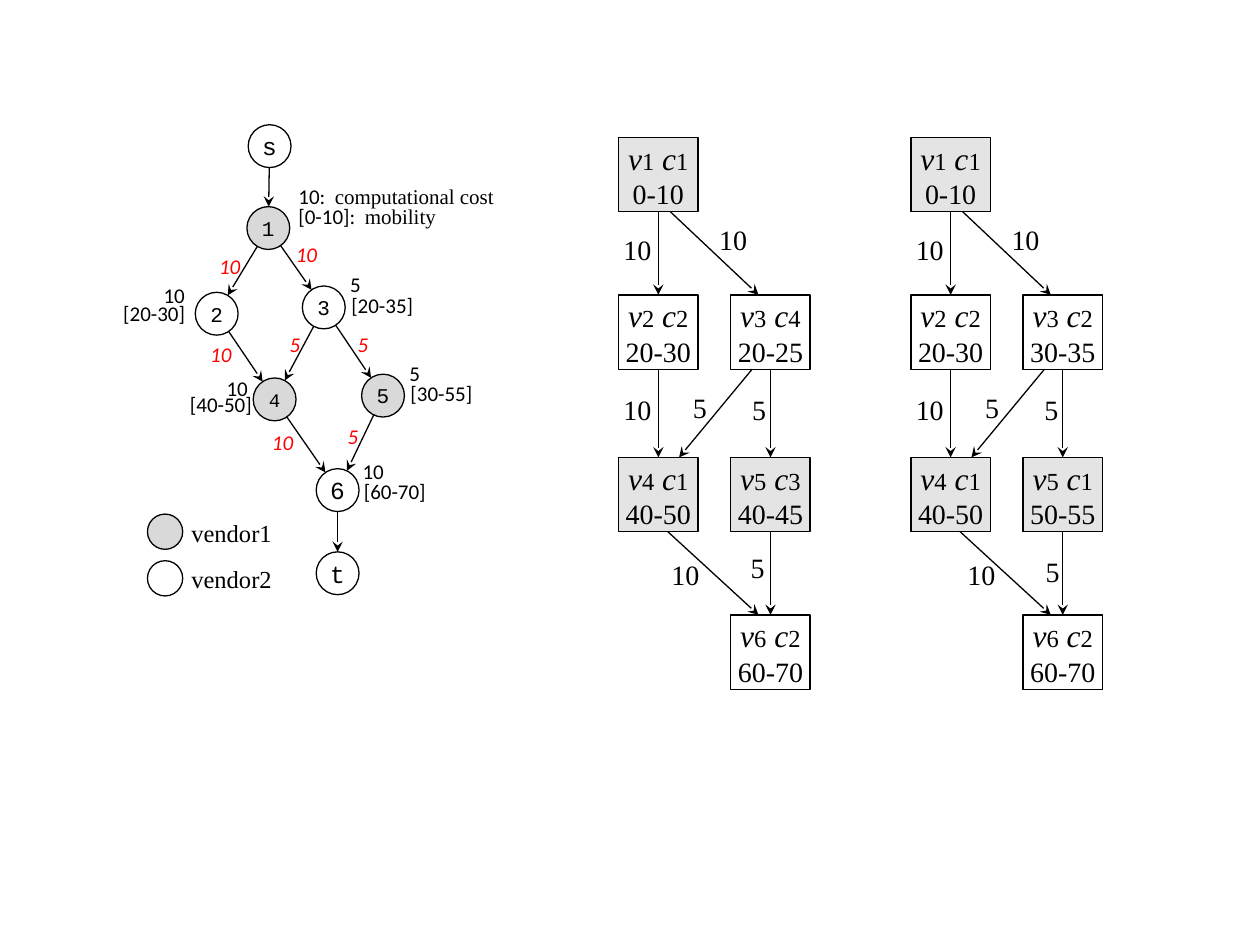
from math import hypot

from lxml.etree import SubElement
from pptx import Presentation
from pptx.dml.color import RGBColor
from pptx.enum.shapes import MSO_CONNECTOR, MSO_SHAPE
from pptx.enum.text import MSO_ANCHOR, MSO_AUTO_SIZE, PP_ALIGN
from pptx.oxml.ns import qn
from pptx.util import Inches, Pt

COLORS = {"black": "000000", "red": "FF0000", "gray": "D9D9D9"}
SANS, MONO, SERIF = "Calibri", "Courier New", "Times New Roman"
CIRCLE = 0.34
KEY_CIRCLE = 0.28
BOX_WIDTH, BOX_HEIGHT = 0.63, 0.59
COLUMNS = (0, 0.89)
ROWS = (0, 1.25, 2.54, 3.79)


def color(name):
    return RGBColor.from_string(COLORS[name])


def add_run(paragraph, text, size, font=SERIF, italic=False, color_name="black"):
    run = paragraph.add_run()
    run.text = text
    run.font.size = Pt(size)
    run.font.name = font
    run.font.italic = italic
    run.font.color.rgb = color(color_name)


def add_outlined(slide, kind, left, top, width, height, shaded=False, opacity=100):
    shape = slide.shapes.add_shape(
        kind, Inches(left), Inches(top), Inches(width), Inches(height))
    shape.shadow.inherit = False
    shape.line.color.rgb = color("black")
    shape.line.width = Pt(0.75)
    if shaded:
        shape.fill.solid()
        shape.fill.fore_color.rgb = color("gray")
        if opacity < 100:
            fill_color = shape.fill._xPr.find(qn("a:solidFill"))[0]
            SubElement(fill_color, qn("a:alpha"), val=str(opacity * 1000))
    else:
        shape.fill.background()
    frame = shape.text_frame
    frame.word_wrap = False
    frame.vertical_anchor = MSO_ANCHOR.MIDDLE
    frame.paragraphs[0].alignment = PP_ALIGN.CENTER
    return shape


def add_label(slide, left, top, width, height, *runs):
    """Each run is a tuple of the arguments for add_run."""
    text_box = slide.shapes.add_textbox(
        Inches(left), Inches(top), Inches(width), Inches(height))
    frame = text_box.text_frame
    frame.word_wrap = False
    frame.auto_size = MSO_AUTO_SIZE.SHAPE_TO_FIT_TEXT
    for run in runs:
        add_run(frame.paragraphs[0], *run)


def add_arrow(slide, start_x, start_y, end_x, end_y):
    connector = slide.shapes.add_connector(
        MSO_CONNECTOR.STRAIGHT,
        Inches(start_x), Inches(start_y), Inches(end_x), Inches(end_y))
    connector.line.color.rgb = color("black")
    connector.line.width = Pt(0.75)
    SubElement(connector.line._get_or_add_ln(), qn("a:tailEnd"), type="stealth")
    SubElement(connector._element.spPr, qn("a:effectLst"))


def add_task_graph(slide, left, top):
    # Task circles: position, text size, shaded
    tasks = {
        "s": (1.09, 0, 14, False), "1": (1.08, 0.65, 12, True),
        "2": (0.67, 1.33, 12, False), "3": (1.52, 1.28, 12, False),
        "4": (1.13, 2.01, 11, True), "5": (1.99, 1.98, 12, True),
        "6": (1.63, 2.73, 14, False), "t": (1.63, 3.39, 14, False),
    }
    for name, (x, y, size, shaded) in tasks.items():
        circle = add_outlined(slide, MSO_SHAPE.OVAL, left + x, top + y,
                              CIRCLE, CIRCLE, shaded)
        add_run(circle.text_frame.paragraphs[0], name, size, MONO)

    # Arrows run from rim to rim along the line between two centres
    radius = CIRCLE / 2
    for source, target in ("s1", "12", "13", "24", "34", "35", "46", "56", "6t"):
        x1, y1 = (value + radius for value in tasks[source][:2])
        x2, y2 = (value + radius for value in tasks[target][:2])
        distance = hypot(x2 - x1, y2 - y1)
        trim_x = radius * (x2 - x1) / distance
        trim_y = radius * (y2 - y1) / distance
        add_arrow(slide, left + x1 + trim_x, top + y1 + trim_y,
                  left + x2 - trim_x, top + y2 - trim_y)

    # Communication costs in red
    edge_costs = [
        ("10", 0.76, 0.97), ("10", 1.37, 0.88), ("10", 0.69, 1.67),
        ("10", 1.18, 2.37), ("5", 1.32, 1.59), ("5", 1.86, 1.59),
        ("5", 1.78, 2.32),
    ]
    for text, x, y in edge_costs:
        add_label(slide, left + x, top + y, 0.37 if text == "10" else 0.29, 0.3,
                  (text, 12, SANS, True, "red"))

    # Computational costs and mobility ranges
    task_notes = [
        ("10", 0.32, 1.2, 0.37), ("[20-30]", 0, 1.35, 0.7),
        ("5", 1.8, 1.12, 0.29), ("[20-35]", 1.81, 1.28, 0.7),
        ("10", 0.82, 1.94, 0.37), ("[40-50]", 0.53, 2.07, 0.7),
        ("5", 2.27, 1.82, 0.29), ("[30-55]", 2.28, 1.98, 0.7),
        ("10", 1.9, 2.6, 0.37), ("[60-70]", 1.91, 2.76, 0.7),
    ]
    for text, x, y, width in task_notes:
        add_label(slide, left + x, top + y, width, 0.3, (text, 12, SANS))
    add_label(slide, left + 1.39, top + 0.42, 1.77, 0.3,
              ("10:  ", 12, SANS), ("computational cost", 12))
    add_label(slide, left + 1.39, top + 0.58, 1.31, 0.3,
              ("[0-10]:  ", 12, SANS), ("mobility", 12))


def add_vendor_key(slide, left, top):
    for index, (name, shaded) in enumerate((("vendor1", True), ("vendor2", False))):
        y = top + 0.37 * index
        add_outlined(slide, MSO_SHAPE.OVAL, left, y, KEY_CIRCLE, KEY_CIRCLE, shaded)
        add_label(slide, left + 0.25, y - 0.02, 0.85, 0.34, (name, 14))


def add_schedule(slide, left, top, assignments, bottom_labels):
    # Task boxes: column and row of v1 to v6, shaded
    cells = [(0, 0, True), (0, 1, False), (1, 1, False),
             (0, 2, True), (1, 2, True), (1, 3, False)]
    for number, (cell, assignment) in enumerate(zip(cells, assignments), 1):
        column, row, shaded = cell
        core, time_range = assignment
        box = add_outlined(slide, MSO_SHAPE.RECTANGLE, left + COLUMNS[column],
                           top + ROWS[row], BOX_WIDTH, BOX_HEIGHT, shaded, 70)
        heading = box.text_frame.paragraphs[0]
        for letter, index in (("v", number), (" c", core)):
            add_run(heading, letter, 18, italic=True)
            add_run(heading, str(index), 14)
        paragraph = box.text_frame.add_paragraph()
        paragraph.alignment = PP_ALIGN.CENTER
        add_run(paragraph, time_range, 16)

    # Arrows: start row, start x, end x
    first, second = (column + BOX_WIDTH / 2 for column in COLUMNS)
    arrows = [(0, first, first), (0, 0.41, 1.11), (1, first, first),
              (1, 1.06, 0.48), (1, second, second),
              (2, 0.39, 1.11), (2, second, second)]
    for row, start_x, end_x in arrows:
        add_arrow(slide, left + start_x, top + ROWS[row] + BOX_HEIGHT,
                  left + end_x, top + ROWS[row + 1])

    # Communication costs
    labels = [("10", -0.06, 0.71), ("10", 0.7, 0.63), ("10", -0.06, 1.98),
              ("5", 0.49, 1.96), ("5", 0.96, 1.98)]
    for text, x, y in labels + bottom_labels:
        add_label(slide, left + x, top + y, 0.43 if text == "10" else 0.31, 0.37,
                  (text, 16))


def main():
    presentation = Presentation()
    presentation.slide_width = Inches(10)
    presentation.slide_height = Inches(7.5)
    slide = presentation.slides.add_slide(presentation.slide_layouts[6])

    add_task_graph(slide, 0.88, 0.99)
    add_vendor_key(slide, 1.17, 4.08)
    add_schedule(slide, 4.91, 1.09,
                 [(1, "0-10"), (2, "20-30"), (4, "20-25"),
                  (1, "40-50"), (3, "40-45"), (2, "60-70")],
                 [("10", 0.32, 3.29), ("5", 0.95, 3.23)])
    add_schedule(slide, 7.23, 1.09,
                 [(1, "0-10"), (2, "20-30"), (2, "30-35"),
                  (1, "40-50"), (1, "50-55"), (2, "60-70")],
                 [("10", 0.35, 3.29), ("5", 0.97, 3.26)])

    presentation.save("out.pptx")


if __name__ == "__main__":
    main()
